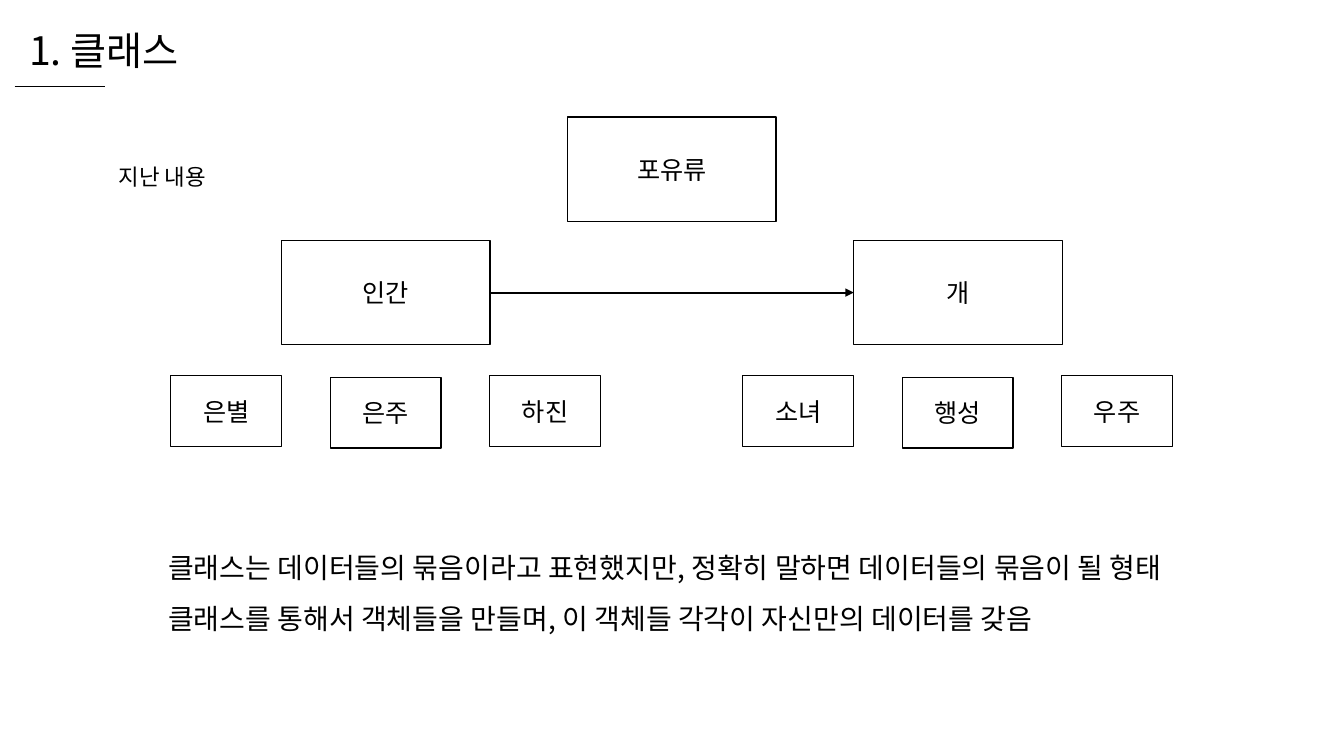
import pptx
import pptx.dml.color
import pptx.enum.shapes
import pptx.enum.text
import pptx.oxml.ns
import pptx.util
from lxml import etree

Pt = pptx.util.Pt
qn = pptx.oxml.ns.qn


def color(hex_string):
    return pptx.dml.color.RGBColor.from_string(hex_string)


class ClassSlide:
    font_name = "Noto Sans CJK KR"
    ink = "000000"
    paper = "FFFFFF"

    def __init__(self, presentation):
        self.slide = presentation.slides.add_slide(presentation.slide_layouts[6])

    def add_styled_run(self, paragraph, text, size):
        run = paragraph.add_run()
        run.text = text
        run.font.size = Pt(size)
        run.font.name = self.font_name
        run.font.color.rgb = color(self.ink)
        east_asian = etree.SubElement(run.font._element, qn("a:ea"))
        east_asian.set("typeface", self.font_name)

    def text(self, left, top, width, height, lines, size, line_spacing=None):
        shape = self.slide.shapes.add_textbox(Pt(left), Pt(top), Pt(width), Pt(height))
        frame = shape.text_frame
        frame.word_wrap = False
        frame.auto_size = pptx.enum.text.MSO_AUTO_SIZE.SHAPE_TO_FIT_TEXT
        for index, line in enumerate(lines):
            paragraph = frame.add_paragraph() if index else frame.paragraphs[0]
            paragraph.line_spacing = line_spacing
            self.add_styled_run(paragraph, line, size)

    def box(self, left, top, width, height, label):
        shape = self.slide.shapes.add_shape(
            pptx.enum.shapes.MSO_SHAPE.RECTANGLE, Pt(left), Pt(top), Pt(width), Pt(height))
        shape.shadow.inherit = False
        shape.fill.solid()
        shape.fill.fore_color.rgb = color(self.paper)
        shape.line.color.rgb = color(self.ink)
        shape.line.width = Pt(1)
        frame = shape.text_frame
        frame.vertical_anchor = pptx.enum.text.MSO_ANCHOR.MIDDLE
        paragraph = frame.paragraphs[0]
        paragraph.alignment = pptx.enum.text.PP_ALIGN.CENTER
        self.add_styled_run(paragraph, label, 18)

    def horizontal_line(self, left, right, y, weight, arrow=False):
        connector = self.slide.shapes.add_connector(
            pptx.enum.shapes.MSO_CONNECTOR.STRAIGHT, Pt(left), Pt(y), Pt(right), Pt(y))
        connector.line.color.rgb = color(self.ink)
        connector.line.width = Pt(weight)
        properties = connector._element.spPr
        if arrow:
            outline = properties.find(qn("a:ln"))
            etree.SubElement(outline, qn("a:tailEnd")).set("type", "triangle")
        etree.SubElement(properties, qn("a:effectLst"))


CLASS_WIDTH, CLASS_HEIGHT, CLASS_TOP = 149, 74.4, 171.8
OBJECT_WIDTH, OBJECT_HEIGHT = 79.2, 50.6
OBJECT_TOPS = (268.3, 269.5, 268.3)
OBJECT_STEP = 113.9
FAMILIES = (
    (201.2, "인간", ("은별", "은주", "하진")),
    (609.8, "개", ("소녀", "행성", "우주")),
)


def main():
    presentation = pptx.Presentation()
    presentation.slide_width = Pt(960)
    presentation.slide_height = Pt(540)
    page = ClassSlide(presentation)

    page.text(13.7, 15.1, 128.2, 41.2, ["1. 클래스"], 28)
    page.horizontal_line(10.4, 75, 61.5, 0.5)

    for left, class_name, object_names in FAMILIES:
        page.box(left, CLASS_TOP, CLASS_WIDTH, CLASS_HEIGHT, class_name)
        for index, (top, name) in enumerate(zip(OBJECT_TOPS, object_names)):
            object_left = left - OBJECT_WIDTH + index * OBJECT_STEP
            page.box(object_left, top, OBJECT_WIDTH, OBJECT_HEIGHT, name)
    human_left, dog_left = (family[0] for family in FAMILIES)
    page.horizontal_line(
        human_left + CLASS_WIDTH, dog_left, CLASS_TOP + CLASS_HEIGHT / 2, 1.5, arrow=True)
    page.box((human_left + dog_left) / 2, 83.7, CLASS_WIDTH, CLASS_HEIGHT, "포유류")

    page.text(113, 378, 753.1, 75.6, [
        "클래스는 데이터들의 묶음이라고 표현했지만, 정확히 말하면 데이터들의 묶음이 될 형태",
        "클래스를 통해서 객체들을 만들며, 이 객체들 각각이 자신만의 데이터를 갖음",
    ], 20, line_spacing=1.5)
    page.text(77.8, 113, 79.9, 26.6, ["지난 내용"], 16)

    presentation.save("out.pptx")


if __name__ == "__main__":
    main()
